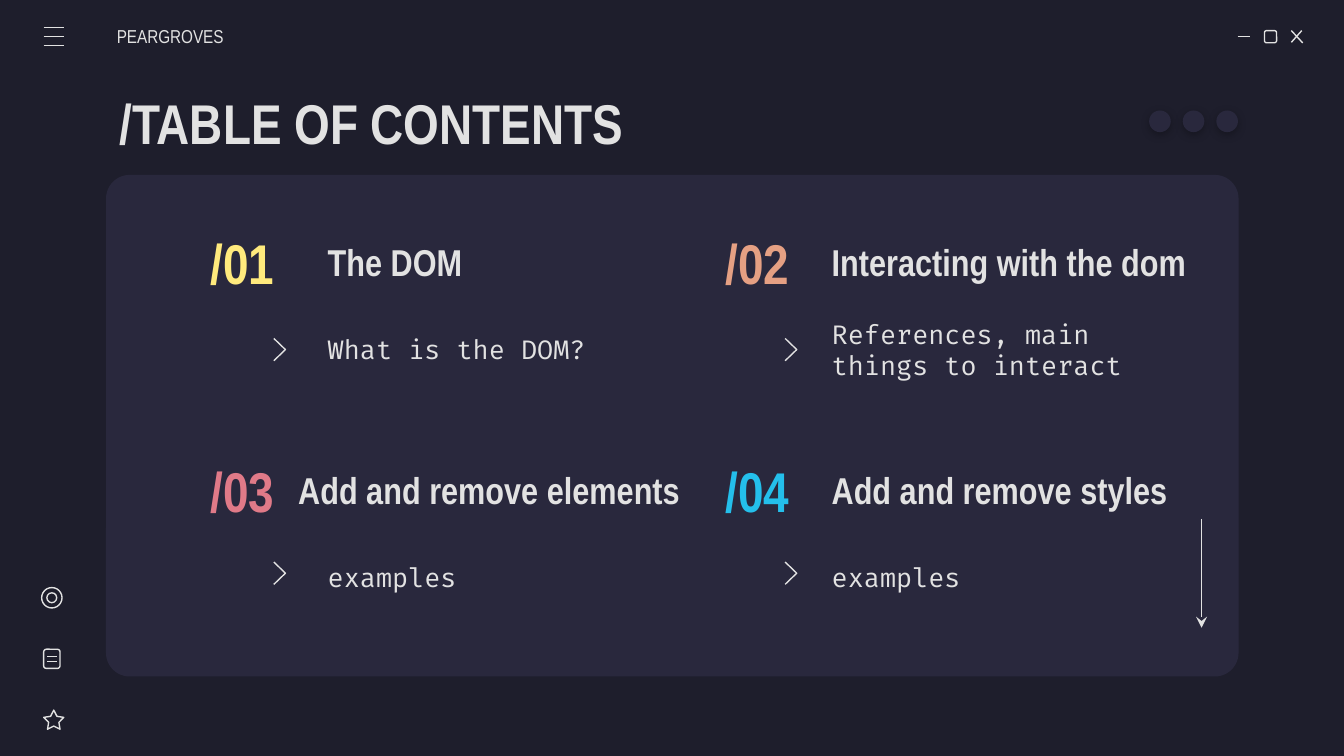
import dataclasses

import lxml.etree
import pptx
import pptx.dml.color
import pptx.enum.shapes
import pptx.enum.text
import pptx.oxml.ns
import pptx.util

Pt = pptx.util.Pt
qn = pptx.oxml.ns.qn
SHAPE = pptx.enum.shapes.MSO_SHAPE
ALIGN = pptx.enum.text.PP_ALIGN


@dataclasses.dataclass(frozen=True)
class Theme:
    background: str = "1E1E2C"
    panel: str = "29283D"
    light: str = "E2E2E2"
    shadow: str = "000000"
    accents: tuple = ("FFEA7D", "E5A083", "E07A88", "24BFEB")
    heading_font: str = "Arial Narrow"
    code_font: str = "Fira Code"
    title_size: int = 30
    section_size: int = 20
    detail_size: int = 14
    label_size: int = 10
    line_width: float = 0.75


def rgb(value):
    return pptx.dml.color.RGBColor.from_string(value)


def write_text(shape, text, *, size, color, font, bold=False, align=ALIGN.LEFT, left_inset=7.2):
    frame = shape.text_frame
    frame.auto_size = pptx.enum.text.MSO_AUTO_SIZE.NONE
    frame.word_wrap = True
    frame.vertical_anchor = pptx.enum.text.MSO_ANCHOR.MIDDLE
    frame.margin_left = Pt(left_inset)
    frame.margin_right = frame.margin_top = frame.margin_bottom = Pt(7.2)
    paragraph = frame.paragraphs[0]
    paragraph.alignment = align
    run = paragraph.add_run()
    run.text = text
    run.font.size = Pt(size)
    run.font.name = font
    run.font.bold = bold
    run.font.color.rgb = rgb(color)


class SlideBuilder:
    """Draws themed elements on one slide, measured in points."""

    def __init__(self, slide, theme):
        self.slide = slide
        self.shapes = slide.shapes
        self.theme = theme
        slide.background.fill.solid()
        slide.background.fill.fore_color.rgb = rgb(theme.background)

    def title(self, text, left, top, width, height):
        shape = self.shapes.title
        shape.left, shape.top = Pt(left), Pt(top)
        shape.width, shape.height = Pt(width), Pt(height)
        write_text(shape, text, size=self.theme.title_size, color=self.theme.light,
                   font=self.theme.heading_font, bold=True)

    def text(self, text, left, top, width, height, **style):
        shape = self.shapes.add_textbox(Pt(left), Pt(top), Pt(width), Pt(height))
        write_text(shape, text, **{"color": self.theme.light,
                                   "font": self.theme.heading_font, **style})

    def outline(self, shape):
        shape.fill.background()
        shape.line.color.rgb = rgb(self.theme.light)
        shape.line.width = Pt(self.theme.line_width)
        shape.shadow.inherit = False

    def shape(self, kind, left, top, width, height, fill=None, adjust=None):
        shape = self.shapes.add_shape(kind, Pt(left), Pt(top), Pt(width), Pt(height))
        self.outline(shape)
        if fill:
            shape.fill.solid()
            shape.fill.fore_color.rgb = rgb(fill)
            shape.line.fill.background()
        if adjust is not None:
            shape.adjustments[0] = adjust
        return shape

    def dot(self, left, top, diameter):
        shape = self.shape(SHAPE.OVAL, left, top, diameter, diameter, fill=self.theme.panel)
        effects = shape.element.spPr.find(qn("a:effectLst"))
        shadow = lxml.etree.SubElement(effects, qn("a:outerShdw"), blurRad=str(Pt(4.5)),
                                       dist=str(Pt(1.5)), dir="5400000",
                                       algn="bl", rotWithShape="0")
        color = lxml.etree.SubElement(shadow, qn("a:srgbClr"), val=self.theme.shadow)
        lxml.etree.SubElement(color, qn("a:alpha"), val="27000")

    def line(self, x1, y1, x2, y2, arrow=False):
        connector = self.shapes.add_connector(
            pptx.enum.shapes.MSO_CONNECTOR.STRAIGHT, Pt(x1), Pt(y1), Pt(x2), Pt(y2))
        connector.line.color.rgb = rgb(self.theme.light)
        connector.line.width = Pt(self.theme.line_width)
        properties = connector.element.spPr
        if arrow:
            lxml.etree.SubElement(properties.find(qn("a:ln")), qn("a:tailEnd"), type="stealth")
        lxml.etree.SubElement(properties, qn("a:effectLst"))

    def chevron(self, left, top):
        builder = self.shapes.build_freeform(Pt(left), Pt(top))
        builder.add_line_segments(
            [(Pt(left + 6.2), Pt(top + 6)), (Pt(left), Pt(top + 12))], close=False)
        self.outline(builder.convert_to_shape())

    def section(self, index, name, detail, name_left=None):
        row, column = divmod(index, 2)
        top = 120.2 + 122 * row
        number_left = 97.2 + 275.8 * column
        text_left = 168.5 + 270 * column
        theme = self.theme
        self.text(f"/{index + 1:02}", number_left, top, 65.5, 40.3, size=theme.title_size,
                  color=theme.accents[index], bold=True, align=ALIGN.CENTER)
        self.text(name, name_left or text_left, top, 238, 40.3,
                  size=theme.section_size, bold=True)
        self.text(detail, text_left, top + 40, 184.3, 54,
                  size=theme.detail_size, font=theme.code_font)
        self.chevron(146.7 + 273.9 * column, 181.3 + 119.8 * row)


def main():
    presentation = pptx.Presentation()
    presentation.slide_width, presentation.slide_height = Pt(720), Pt(405)
    slide = presentation.slides.add_slide(presentation.slide_layouts[5])
    theme = Theme()
    builder = SlideBuilder(slide, theme)

    builder.shape(SHAPE.ROUNDED_RECTANGLE, 56.8, 93.7, 606.7, 268.7,
                  fill=theme.panel, adjust=0.047)
    builder.title("/TABLE OF CONTENTS", 56.8, 42.8, 606.7, 45.4)
    builder.text("PEARGROVES", 62.6, 8.8, 84.2, 21.6, size=theme.label_size, left_inset=0)

    builder.line(663, 19.5, 669.7, 19.5)
    builder.shape(SHAPE.ROUNDED_RECTANGLE, 677.4, 16.4, 6.5, 6.5)
    builder.line(691.8, 16.4, 697.9, 23)
    builder.line(697.4, 16.4, 691.8, 22.7)

    sections = (
        ("The DOM", "What is the DOM?", None),
        ("Interacting with the dom", "References, main things to interact", None),
        ("Add and remove elements", "examples", 152.7),
        ("Add and remove styles", "examples", None),
    )
    for index, (name, detail, name_left) in enumerate(sections):
        builder.section(index, name, detail, name_left)

    for y in (14.8, 19.6, 24.4):
        builder.line(23.4, y, 34.2, y)

    builder.shape(SHAPE.STAR_5_POINT, 23.4, 380.4, 10.8, 10.3, adjust=0.254)
    builder.shape(SHAPE.ROUNDED_RECTANGLE, 23.4, 347.8, 8.8, 10.3)
    for y in (351.7, 354.3):
        builder.line(25.2, y, 30.4, y)
    for inset in (0, 2.8):
        diameter = 10.9 - 2 * inset
        builder.shape(SHAPE.OVAL, 22.3 + inset, 314.8 + inset, diameter, diameter)

    builder.line(643.7, 278, 643.7, 336.3, arrow=True)
    for index in range(3):
        builder.dot(615.6 + 18 * index, 59.2, 11.6)

    presentation.save("out.pptx")


if __name__ == "__main__":
    main()
